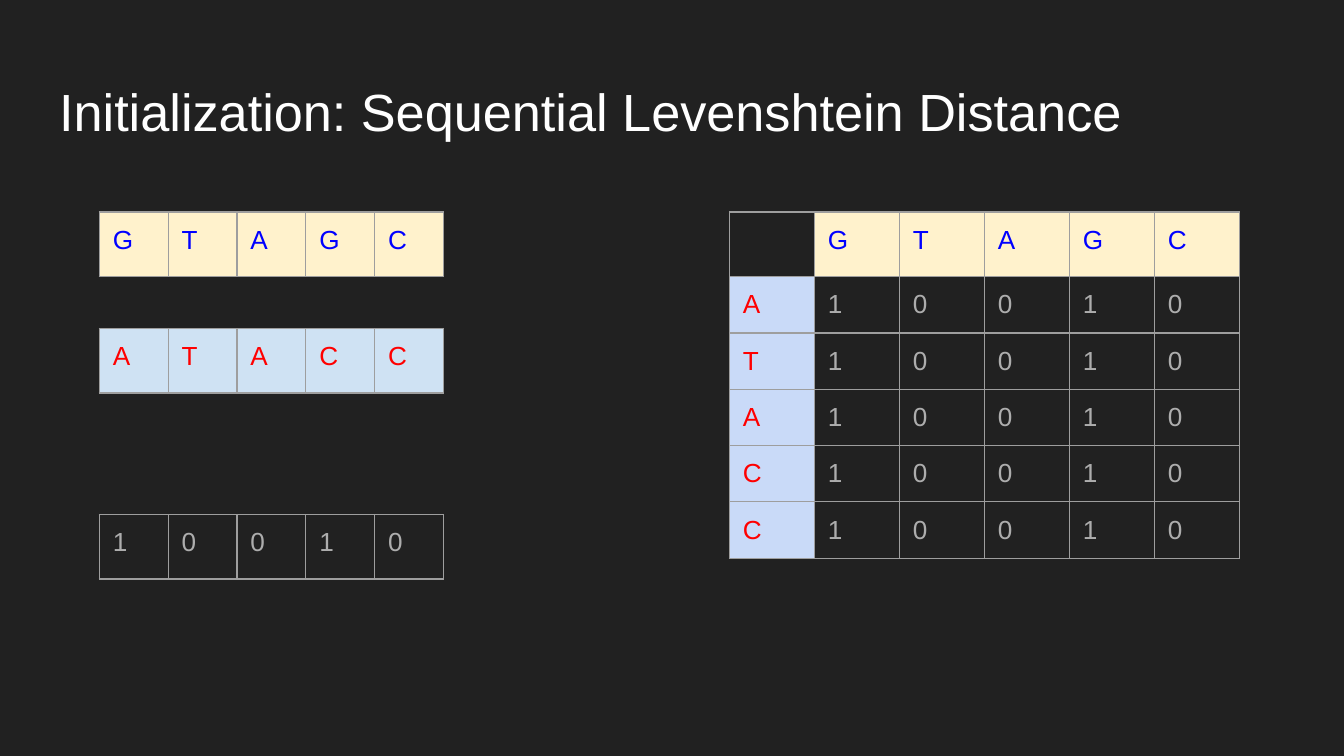
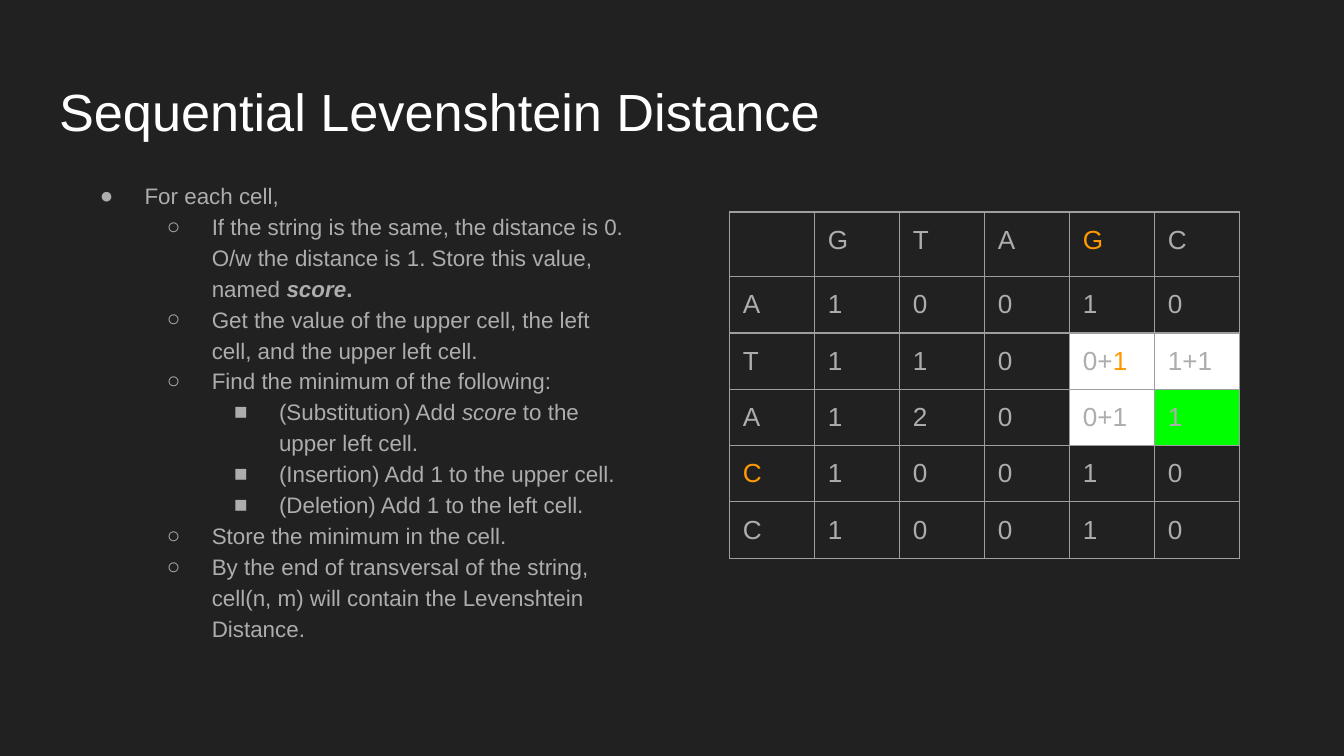
"""Build two slides on the sequential Levenshtein distance."""
import dataclasses

import lxml.etree
import pptx
import pptx.dml.color
import pptx.enum.text
import pptx.oxml.ns
import pptx.util

Pt = pptx.util.Pt
qn = pptx.oxml.ns.qn

COLORS = {
    "background": "212121",
    "title": "FFFFFF",
    "text": "ADADAD",
    "border": "9E9E9E",
    "source_ink": "0000FF",
    "source_fill": "FFF2CC",
    "target_ink": "FF0000",
    "target_fill": "CFE2F3",
    "target_header": "C9DAF8",
    "compared": "FF9900",
    "neighbour": "FFFFFF",
    "current": "00FF00",
}
FONT = "Arial"
INSET = 7.2
SOURCE, TARGET, INITIAL = "GTAGC", "ATACC", "10010"
GRID_TOP, GRID_FRAME = 113.6, 236.2
STRIP_LEFT, STRIP_COLUMN, STRIP_ROW = 53.2, 36.9, 34.6
MATRIX_LEFT, MATRIX_COLUMN, MATRIX_ROW = 390.8, 45.55, 30
BULLETS = "●○■"

STEPS = [
    (0, [("For each cell,", "")]),
    (1, [("If the string is the same, the distance is 0. O/w the distance is 1. "
          "Store this value, named ", ""), ("score", "bi"), (".", "b")]),
    (1, [("Get the value of the upper cell, the left cell, and the upper left cell.", "")]),
    (1, [("Find the minimum of the following:", "")]),
    (2, [("(Substitution) Add ", ""), ("score", "i"), (" to the upper left cell.", "")]),
    (2, [("(Insertion) Add 1 to the upper cell.", "")]),
    (2, [("(Deletion) Add 1 to the left cell.", "")]),
    (1, [("Store the minimum in the cell.", "")]),
    (1, [("By the end of transversal of the string, cell(n, m) will contain "
          "the Levenshtein Distance.", "")]),
]


@dataclasses.dataclass
class GridCell:
    """Hold the coloured runs and the fill of one grid cell."""
    runs: list
    fill: str = ""


def rgb(name):
    """Return the named colour."""
    return pptx.dml.color.RGBColor.from_string(COLORS[name])


def grid_row(values, ink="text", fill=""):
    """Return one cell for each value, all in the same style."""
    return [GridCell([(value, ink)], fill) for value in values]


def add_run(paragraph, text, size, ink, style=""):
    """Append a formatted run."""
    run = paragraph.add_run()
    run.text = text
    run.font.name = FONT
    run.font.size = Pt(size)
    run.font.color.rgb = rgb(ink)
    run.font.bold = "b" in style
    run.font.italic = "i" in style


def set_frame(frame):
    """Give a text frame wrapping, equal insets and top anchoring."""
    frame.word_wrap = True
    frame.auto_size = pptx.enum.text.MSO_AUTO_SIZE.NONE
    frame.vertical_anchor = pptx.enum.text.MSO_ANCHOR.TOP
    frame.margin_left = frame.margin_right = Pt(INSET)
    frame.margin_top = frame.margin_bottom = Pt(INSET)


def add_titled_slide(deck, heading):
    """Add a slide with its title in place."""
    slide = deck.slides.add_slide(deck.slide_layouts[5])
    title = slide.shapes.title
    title.left, title.top, title.width, title.height = map(Pt, (24.5, 35, 671, 45))
    set_frame(title.text_frame)
    paragraph = title.text_frame.paragraphs[0]
    paragraph.alignment = pptx.enum.text.PP_ALIGN.LEFT
    add_run(paragraph, heading, 28, "title")
    return slide


def add_borders(cell):
    """Draw a thin line on every side of a table cell."""
    properties = cell._tc.get_or_add_tcPr()
    for side in ("a:lnL", "a:lnR", "a:lnT", "a:lnB"):
        line = lxml.etree.SubElement(properties, qn(side), w=str(Pt(0.75)))
        solid = lxml.etree.SubElement(line, qn("a:solidFill"))
        lxml.etree.SubElement(solid, qn("a:srgbClr"), val=COLORS["border"])


def format_cell(cell, content):
    """Write the content of one table cell."""
    add_borders(cell)
    cell.margin_left = cell.margin_right = Pt(INSET)
    cell.margin_top = cell.margin_bottom = Pt(INSET)
    if content.fill:
        cell.fill.solid()
        cell.fill.fore_color.rgb = rgb(content.fill)
    else:
        cell.fill.background()
    paragraph = cell.text_frame.paragraphs[0]
    for text, ink in content.runs:
        add_run(paragraph, text, 14, ink)
    if not content.runs:
        ending = lxml.etree.SubElement(paragraph._p, qn("a:endParaRPr"), sz="1800")
        lxml.etree.SubElement(ending, qn("a:latin"), typeface=FONT)


def add_grid(slide, left, top, column_width, row_height, rows):
    """Add a table with equal columns and rows in a square frame."""
    count = len(rows[0])
    grid = slide.shapes.add_table(
        len(rows), count, Pt(left), Pt(top),
        Pt(column_width * count), Pt(row_height * len(rows)))
    grid.width = grid.height = Pt(GRID_FRAME)
    table = grid.table
    table.first_row = table.horz_banding = False
    for table_row, contents in zip(table.rows, rows):
        for cell, content in zip(table_row.cells, contents):
            format_cell(cell, content)


def add_strip(slide, top, cells):
    """Add a single-row grid in the left column."""
    add_grid(slide, STRIP_LEFT, top, STRIP_COLUMN, STRIP_ROW, [cells])


def add_matrix(slide, rows):
    """Add the distance matrix on the right."""
    add_grid(slide, MATRIX_LEFT, GRID_TOP, MATRIX_COLUMN, MATRIX_ROW, rows)


def add_steps(slide):
    """Add the bulleted steps of the algorithm."""
    frame = slide.shapes.add_textbox(Pt(34.4), Pt(88.2), Pt(308), Pt(287)).text_frame
    set_frame(frame)
    for index, (level, runs) in enumerate(STEPS):
        paragraph = frame.add_paragraph() if index else frame.paragraphs[0]
        paragraph.level = level
        paragraph.line_spacing = 1.15
        properties = paragraph._p.get_or_add_pPr()
        properties.set("marL", str(Pt(36 * (level + 1))))
        properties.set("indent", str(Pt(-24)))
        bullet_color = lxml.etree.SubElement(properties, qn("a:buClr"))
        lxml.etree.SubElement(bullet_color, qn("a:srgbClr"), val=COLORS["text"])
        lxml.etree.SubElement(properties, qn("a:buFont"), typeface=FONT)
        lxml.etree.SubElement(properties, qn("a:buChar"), char=BULLETS[level])
        for text, style in runs:
            add_run(paragraph, text, 12, "text", style)


def build_initialization(deck):
    """Build the slide with the strings and the initial matrix."""
    slide = add_titled_slide(deck, "Initialization: Sequential Levenshtein Distance")
    source = grid_row(SOURCE, "source_ink", "source_fill")
    matrix = [[GridCell([])] + source]
    for letter in TARGET:
        matrix.append(grid_row(letter, "target_ink", "target_header") + grid_row(INITIAL))
    add_matrix(slide, matrix)
    add_strip(slide, GRID_TOP, source)
    add_strip(slide, 176, grid_row(TARGET, "target_ink", "target_fill"))
    add_strip(slide, 275.6, grid_row(INITIAL))


def build_iteration(deck):
    """Build the slide with the steps and a matrix being filled."""
    slide = add_titled_slide(deck, "Sequential Levenshtein Distance")
    add_steps(slide)
    distances = [INITIAL, ["1", "1", "0", "0+1", "1+1"], ["1", "2", "0", "0+1", "1"],
                 INITIAL, INITIAL]
    matrix = [[GridCell([])] + grid_row(SOURCE)]
    for letter, values in zip(TARGET, distances):
        matrix.append(grid_row(letter) + grid_row(values))
    matrix[0][4].runs = [("G", "compared")]
    matrix[4][0].runs = [("C", "compared")]
    matrix[2][4].runs = [("0+", "text"), ("1", "compared")]
    for row, column in ((2, 4), (2, 5), (3, 4)):
        matrix[row][column].fill = "neighbour"
    matrix[3][5].fill = "current"
    add_matrix(slide, matrix)


def main():
    """Build and save the deck."""
    deck = pptx.Presentation()
    deck.slide_width, deck.slide_height = Pt(720), Pt(405)
    background = deck.slide_master.background.fill
    background.solid()
    background.fore_color.rgb = rgb("background")
    build_initialization(deck)
    build_iteration(deck)
    deck.save("out.pptx")


if __name__ == "__main__":
    main()
